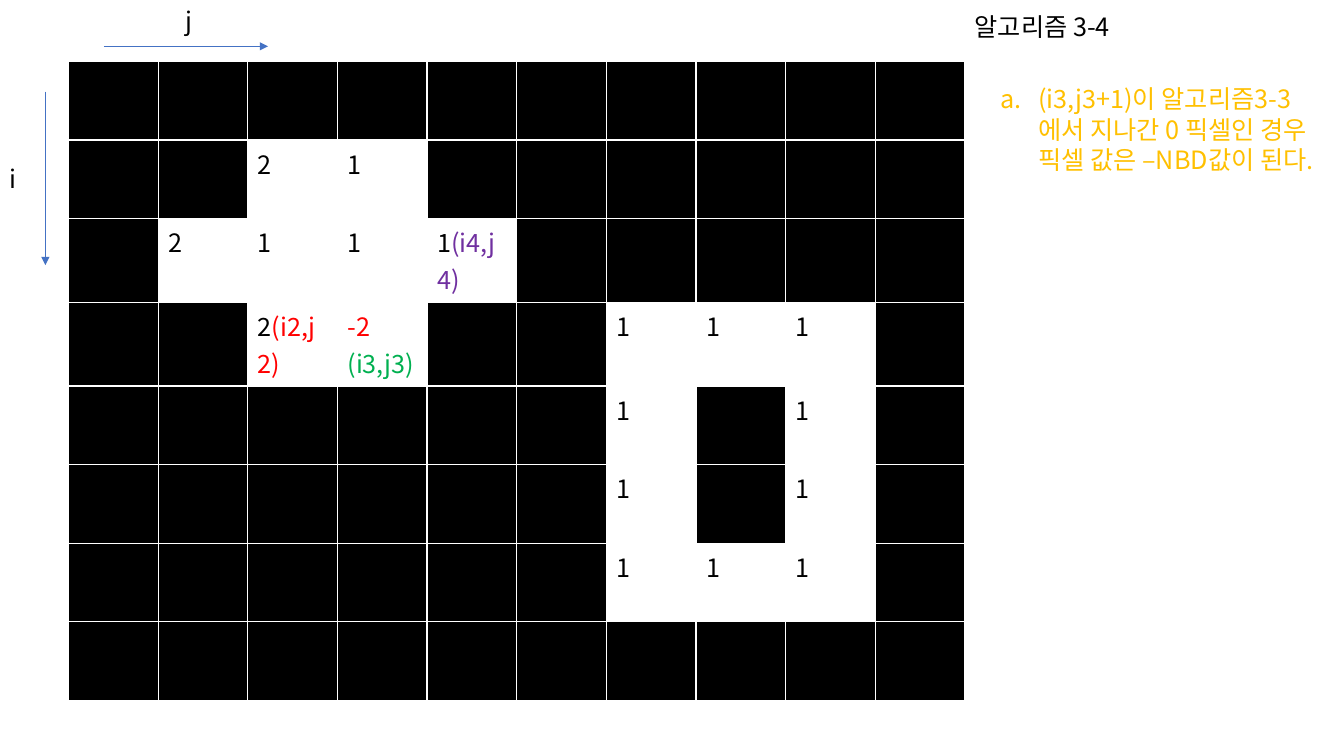
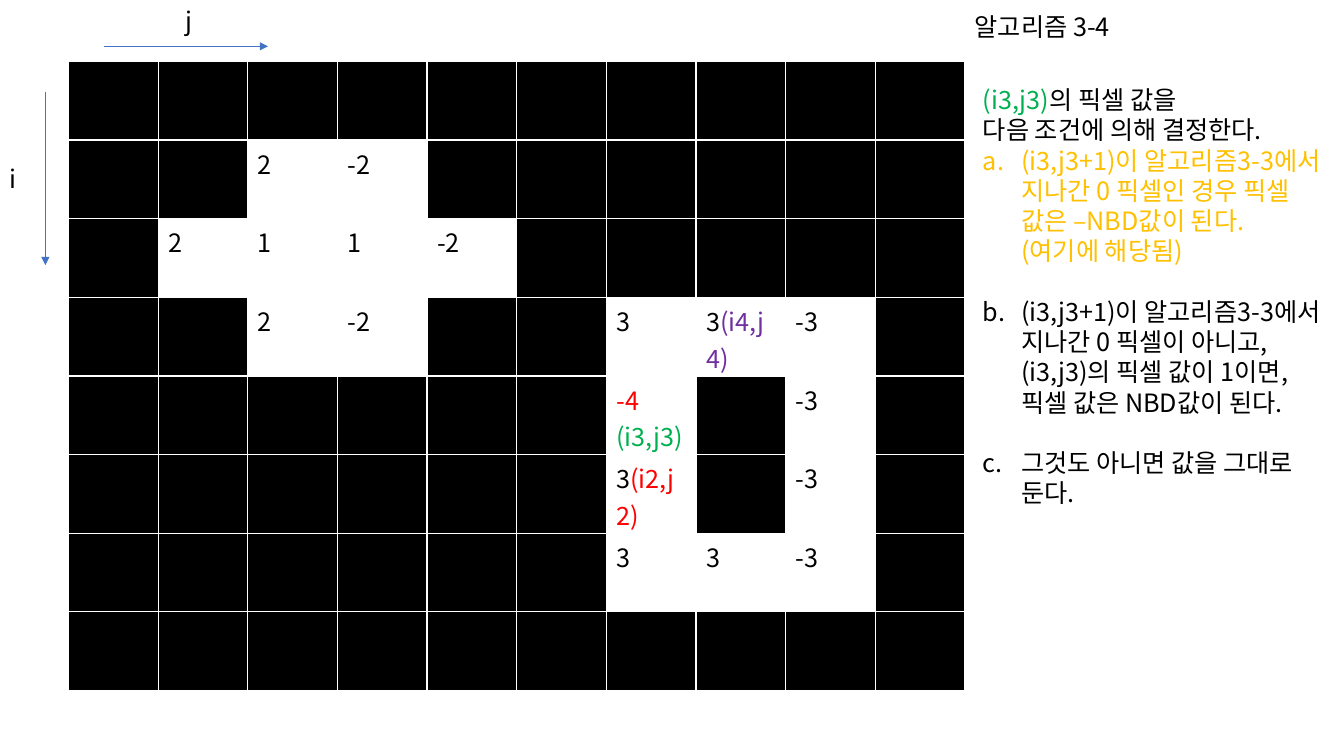
from lxml import etree
from pptx import Presentation, util as u
from pptx.dml.color import RGBColor
from pptx.enum import shapes, text
from pptx.oxml import ns

COLOURS = {
    "black": "000000", "white": "FFFFFF", "blue": "4472C4", "red": "FF0000",
    "green": "00B050", "purple": "7030A0", "gold": "FFC000",
}
FONT = "Noto Sans CJK KR"
SIZE = u.Pt(18)
LINE = u.Pt(21.6)
HANGING = u.Inches(0.38)
SLIDE_WIDTH, SLIDE_HEIGHT = u.Inches(13.33), u.Inches(7.5)

# Shares of the slide's size, in percent
COLUMN, ROW, TALL_ROW = 6.67, 10.4, 11.07
TITLE_BOX = (71.79, 0.8, 12.6, 5.33)
I_BOX = (0, 20.93, 2.4, 5.33)
J_BOX = (13.05, 0, 2.85, 5.33)

POINT_COLOURS = {"(i2,j2)": "red", "(i3,j3)": "green", "(i4,j4)": "purple"}
CHANGED_POINT = "(i3,j3)"

# A dot is a black pixel
FIRST_PIXELS = """
. . . . . . . . . .
. . 2 1 . . . . . .
. 2 1 1 1(i4,j4) . . . . .
. . 2(i2,j2) -2(i3,j3) . . 1 1 1 .
. . . . . . 1 . 1 .
. . . . . . 1 . 1 .
. . . . . . 1 1 1 .
. . . . . . . . . .
"""
SECOND_PIXELS = """
. . . . . . . . . .
. . 2 -2 . . . . . .
. 2 1 1 -2 . . . . .
. . 2 -2 . . 3 3(i4,j4) -3 .
. . . . . . -4(i3,j3) . -3 .
. . . . . . 3(i2,j2) . -3 .
. . . . . . 3 3 -3 .
. . . . . . . . . .
"""
RULE_A = "(i3,j3+1)이 알고리즘3-3에서 지나간 0 픽셀인 경우 픽셀 값은 –NBD값이 된다."
RULE_B = ("(i3,j3+1)이 알고리즘3-3에서 지나간 0 픽셀이 아니고, "
          "(i3,j3)의 픽셀 값이 1이면, 픽셀 값은 NBD값이 된다.")
RULE_C = "그것도 아니면 값을 그대로 둔다."


def across(percent):
    return round(SLIDE_WIDTH * percent / 100)


def down(percent):
    return round(SLIDE_HEIGHT * percent / 100)


def colour(name):
    return RGBColor.from_string(COLOURS[name])


def add_span(para, words, tint="black"):
    span = para.add_run()
    span.text = words
    span.font.size = SIZE
    span.font.name = FONT
    span.font.color.rgb = colour(tint)
    east_asian = etree.SubElement(span.font._element, ns.qn("a:ea"))
    east_asian.set("typeface", FONT)


def next_para(frame, is_first):
    return frame.paragraphs[0] if is_first else frame.add_paragraph()


def letter(para):
    """Number a paragraph a., b., c. with a hanging indent."""
    properties = para._p.get_or_add_pPr()
    properties.set("marL", str(HANGING))
    properties.set("indent", str(-HANGING))
    bullet = etree.SubElement(properties, ns.qn("a:buAutoNum"))
    bullet.set("type", "alphaLcPeriod")


def add_text(page, area, paras):
    """Each paragraph is (spans, is lettered, has a gap before)."""
    left, top, width, height = area
    box = page.shapes.add_textbox(across(left), down(top), across(width), down(height))
    frame = box.text_frame
    frame.word_wrap = True
    frame.auto_size = text.MSO_AUTO_SIZE.SHAPE_TO_FIT_TEXT
    for index, (spans, is_lettered, has_gap) in enumerate(paras):
        para = next_para(frame, index == 0)
        if is_lettered:
            letter(para)
        para.line_spacing = LINE
        if has_gap:
            para.space_before = LINE
        for span in spans:
            add_span(para, *span)


def add_label(page, area, words):
    add_text(page, area, [([(words,)], False, False)])


def add_arrow(page, left, top, right, bottom):
    arrow = page.shapes.add_connector(
        shapes.MSO_CONNECTOR.STRAIGHT,
        across(left), down(top), across(right), down(bottom))
    arrow.line.color.rgb = colour("blue")
    arrow.line.width = u.Pt(0.5)
    etree.SubElement(arrow.line._get_or_add_ln(), ns.qn("a:tailEnd")).set("type", "triangle")
    etree.SubElement(arrow._element.spPr, ns.qn("a:effectLst"))


def outline(cell):
    properties = cell._tc.get_or_add_tcPr()
    for side in ("lnL", "lnR", "lnT", "lnB"):
        line = etree.SubElement(properties, ns.qn(f"a:{side}"), w=str(u.Pt(1)))
        fill = etree.SubElement(line, ns.qn("a:solidFill"))
        etree.SubElement(fill, ns.qn("a:srgbClr"), val=COLOURS["white"])


def fill_pixel(cell, pixel):
    outline(cell)
    cell.margin_bottom = 0
    cell.fill.solid()
    cell.fill.fore_color.rgb = colour("black" if pixel == "." else "white")
    if pixel == ".":
        return
    value, bracket, rest = pixel.partition("(")
    point = bracket + rest
    is_changed = point == CHANGED_POINT
    para = cell.text_frame.paragraphs[0]
    add_span(para, value, "red" if is_changed else "black")
    if point:
        target = cell.text_frame.add_paragraph() if is_changed else para
        add_span(target, point, POINT_COLOURS[point])


def add_pixels(page, pixels, tall_rows):
    rows = [line.split() for line in pixels.strip().splitlines()]
    heights = [down(TALL_ROW if index in tall_rows else ROW) for index in range(len(rows))]
    width = across(COLUMN)
    table = page.shapes.add_table(
        len(rows), len(rows[0]), across(5.1), down(8.13),
        width * len(rows[0]), sum(heights)).table
    table.first_row = table.horz_banding = False
    for column in table.columns:
        column.width = width
    for index, row in enumerate(rows):
        table.rows[index].height = heights[index]
        for place, pixel in enumerate(row):
            fill_pixel(table.cell(index, place), pixel)


def add_page(deck, pixels, tall_rows, rules_area, rules):
    page = deck.slides.add_slide(deck.slide_layouts[6])
    add_pixels(page, pixels, tall_rows)
    add_arrow(page, 7.73, 6.13, 19.95, 6.13)
    add_arrow(page, 3.38, 12.13, 3.38, 35.07)
    add_label(page, I_BOX, "i")
    add_label(page, J_BOX, "j")
    add_label(page, TITLE_BOX, "알고리즘 3-4")
    add_text(page, rules_area, rules)


def main():
    deck = Presentation()
    deck.slide_width, deck.slide_height = SLIDE_WIDTH, SLIDE_HEIGHT
    add_page(deck, FIRST_PIXELS, (2, 3), (73.67, 10.4, 24.8, 21.6),
             [([(RULE_A, "gold")], True, False)])
    add_page(deck, SECOND_PIXELS, (), (72.39, 10.53, 27.08, 57.87), [
        ([("(i3,j3)", "green"), ("의 픽셀 값을",)], False, False),
        ([("다음 조건에 의해 결정한다.",)], False, False),
        ([(RULE_A + " (여기에 해당됨)", "gold")], True, False),
        ([(RULE_B,)], True, True),
        ([(RULE_C,)], True, True),
    ])
    deck.save("out.pptx")


if __name__ == "__main__":
    main()
